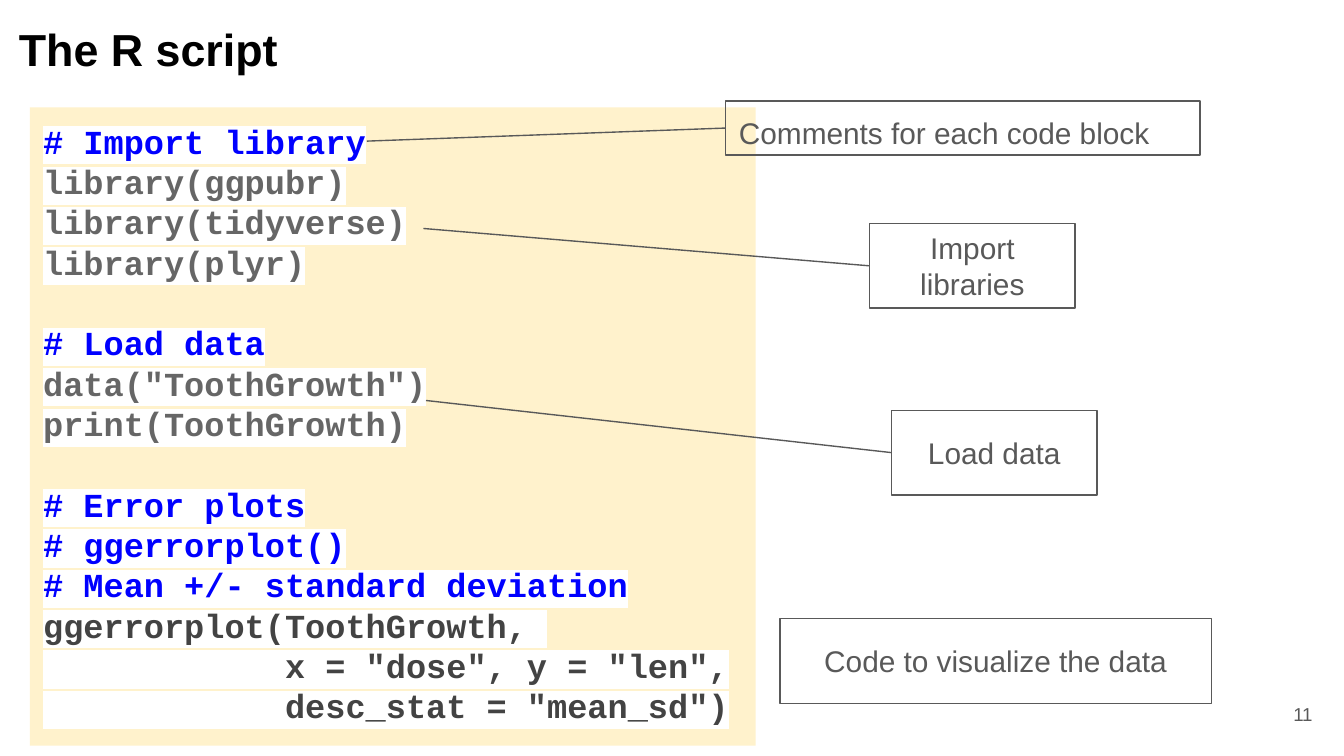
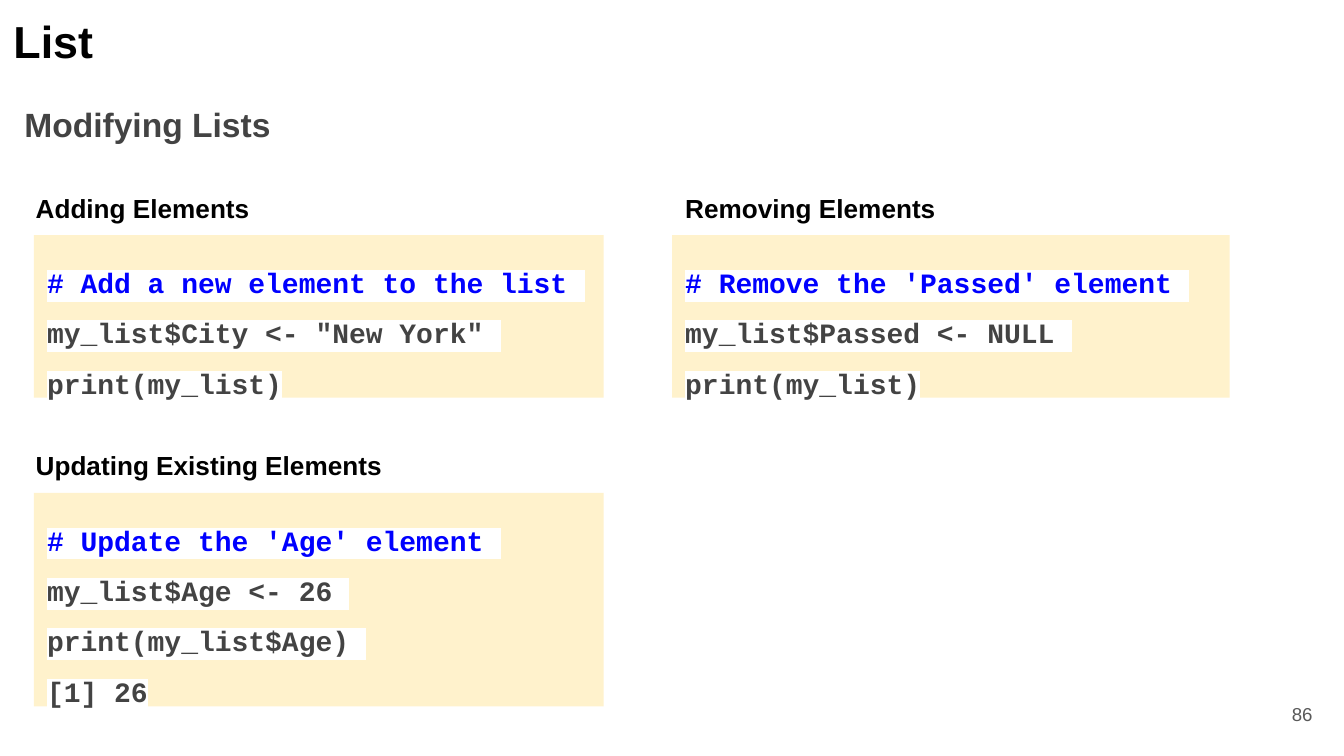
from collections import namedtuple

from lxml import etree
from pptx import Presentation
from pptx.dml.color import RGBColor
from pptx.enum.shapes import MSO_CONNECTOR, MSO_SHAPE
from pptx.enum.text import MSO_ANCHOR, MSO_AUTO_SIZE, PP_ALIGN
from pptx.oxml.ns import qn
from pptx.util import Inches, Pt

BLACK = RGBColor(0x00, 0x00, 0x00)
WHITE = RGBColor(0xFF, 0xFF, 0xFF)
CREAM = RGBColor(0xFF, 0xF2, 0xCC)
BLUE = RGBColor(0x00, 0x00, 0xFF)
DARK = RGBColor(0x43, 0x43, 0x43)
GREY = RGBColor(0x59, 0x59, 0x59)
LIGHT_GREY = RGBColor(0x66, 0x66, 0x66)

SANS, MONO = "Arial", "Courier New"
LEFT, CENTER, RIGHT = PP_ALIGN.LEFT, PP_ALIGN.CENTER, PP_ALIGN.RIGHT
TOP, MIDDLE = MSO_ANCHOR.TOP, MSO_ANCHOR.MIDDLE
RECTANGLE, STRAIGHT = MSO_SHAPE.RECTANGLE, MSO_CONNECTOR.STRAIGHT
NO_FIT = MSO_AUTO_SIZE.NONE

WIDTH = Inches(10)
HEIGHT = WIDTH * 9 // 16
CELL = WIDTH / 100  # square grid of 100 columns
TITLE_ONLY = 5
LEFT_SIDE = 1
HEADING_ROWS = 4.2

Box = namedtuple("Box", "column row columns rows")


def grid(*cells):
    return [round(cell * CELL) for cell in cells]


def set_frame(shape, anchor=TOP):
    frame = shape.text_frame
    frame.word_wrap = True
    frame.auto_size = NO_FIT
    frame.vertical_anchor = anchor
    frame.margin_left = frame.margin_right = Inches(0.1)
    frame.margin_top = frame.margin_bottom = Inches(0.1)
    return frame


def add_span(para, text, size, color, font=SANS, bold=False):
    span = para.add_run()
    span.text = text
    span.font.size = Pt(size)
    span.font.bold = bold
    span.font.color.rgb = color
    span.font.name = font
    return span


def highlight(span, color):
    properties = span.font._element
    mark = etree.Element(qn("a:highlight"))
    etree.SubElement(mark, qn("a:srgbClr"), val=str(color))
    properties.find(qn("a:solidFill")).addnext(mark)


def write_line(shape, text, size, color, bold=False, align=LEFT, anchor=TOP):
    para = set_frame(shape, anchor).paragraphs[0]
    para.alignment = align
    add_span(para, text, size, color, bold=bold)


def add_label(page, box, text, size, color, **style):
    write_line(page.shapes.add_textbox(*grid(*box)), text, size, color, **style)


def add_rectangle(page, box, fill=None, line=None):
    shape = page.shapes.add_shape(RECTANGLE, *grid(*box))
    shape.shadow.inherit = False
    if fill is None:
        shape.fill.background()
    else:
        shape.fill.solid()
        shape.fill.fore_color.rgb = fill
    if line is None:
        shape.line.fill.background()
    else:
        shape.line.color.rgb = line
        shape.line.width = Pt(0.75)
    return shape


def add_page(deck, title, title_box, number):
    page = deck.slides.add_slide(deck.slide_layouts[TITLE_ONLY])
    heading = page.shapes.title
    heading.left, heading.top, heading.width, heading.height = grid(*title_box)
    write_line(heading, title, 24, BLACK, bold=True)
    add_label(page, Box(92.65, 51, 6, 4.3), number, 10, GREY,
              align=RIGHT, anchor=MIDDLE)
    return page


def add_code(page, box, blocks, size, spacing=1.0):
    """Each block is a list of (line, colour); blocks are one line apart."""
    frame = set_frame(add_rectangle(page, box, fill=CREAM))
    para = frame.paragraphs[0]
    for block_index, block in enumerate(blocks):
        for line_index, (line, color) in enumerate(block):
            if block_index or line_index:
                para = frame.add_paragraph()
            if block_index and not line_index:
                para.space_before = Pt(1.2 * size)
            para.alignment = LEFT
            para.line_spacing = spacing
            highlight(add_span(para, line, size, color, MONO, True), WHITE)


def add_callout(page, box, text, start=None, align=CENTER, anchor=MIDDLE):
    """Framed note, with a line from the start point to its left side."""
    note = add_rectangle(page, box, line=GREY)
    write_line(note, text, 16, GREY, align=align, anchor=anchor)
    if start:
        line = page.shapes.add_connector(STRAIGHT, *grid(*start, *start))
        line.end_connect(note, LEFT_SIDE)
        line.line.color.rgb = GREY
        line.line.width = Pt(0.75)
        etree.SubElement(line._element.spPr, qn("a:effectLst"))


def add_example(page, box, heading, lines, outdent=0):
    """Code panel in the box with its heading above, moved left by outdent."""
    heading_box = Box(box.column - outdent, box.row - HEADING_ROWS, 32.8, 4.4)
    add_label(page, heading_box, heading, 14, BLACK, bold=True)
    colors = [BLUE] + [DARK] * (len(lines) - 1)
    add_code(page, box, [list(zip(lines, colors))], 15, 1.5)


def build_script_page(deck):
    page = add_page(deck, "The R script", Box(0.4, 0.6, 28.5, 6.3), "11")
    blocks = [
        [("# Import library", BLUE),
         ("library(ggpubr)", LIGHT_GREY),
         ("library(tidyverse)", LIGHT_GREY),
         ("library(plyr)", LIGHT_GREY)],
        [("# Load data", BLUE),
         ('data("ToothGrowth")', LIGHT_GREY),
         ("print(ToothGrowth)", LIGHT_GREY)],
        [("# Error plots", BLUE),
         ("# ggerrorplot()", BLUE),
         ("# Mean +/- standard deviation", BLUE),
         ("ggerrorplot(ToothGrowth, ", DARK),
         ('            x = "dose", y = "len",', DARK),
         ('            desc_stat = "mean_sd")', DARK)],
    ]
    add_code(page, Box(2.23, 7.98, 54, 47.5), blocks, 18)
    add_callout(page, Box(54, 7.53, 35.3, 4), "Comments for each code block",
                (27.3, 10.5), LEFT, TOP)
    add_callout(page, Box(64.7, 16.63, 15.3, 6.3), "Import libraries", (31.5, 17))
    add_callout(page, Box(66.33, 30.53, 15.3, 6.3), "Load data", (31.7, 29.8))
    add_callout(page, Box(58.03, 46.03, 32.1, 6.3), "Code to visualize the data")


def build_list_page(deck):
    page = add_page(deck, "List", Box(0, 0, 32.8, 6.1), "86")
    add_label(page, Box(0.83, 6.7, 32.8, 5), "Modifying Lists", 18, DARK, bold=True)
    add_example(page, Box(2.52, 17.5, 42.4, 12.1), "Adding Elements",
                ["# Add a new element to the list ",
                 'my_list$City <- "New York" ',
                 "print(my_list)"], outdent=0.85)
    add_example(page, Box(2.52, 36.67, 42.4, 15.9), "Updating Existing Elements",
                ["# Update the 'Age' element ",
                 "my_list$Age <- 26 ",
                 "print(my_list$Age) ",
                 "[1] 26"], outdent=0.85)
    add_example(page, Box(50, 17.5, 41.5, 12.1), "Removing Elements",
                ["# Remove the 'Passed' element ",
                 "my_list$Passed <- NULL ",
                 "print(my_list)"])


def main():
    deck = Presentation()
    deck.slide_width, deck.slide_height = WIDTH, HEIGHT
    build_script_page(deck)
    build_list_page(deck)
    deck.save("out.pptx")


if __name__ == "__main__":
    main()
